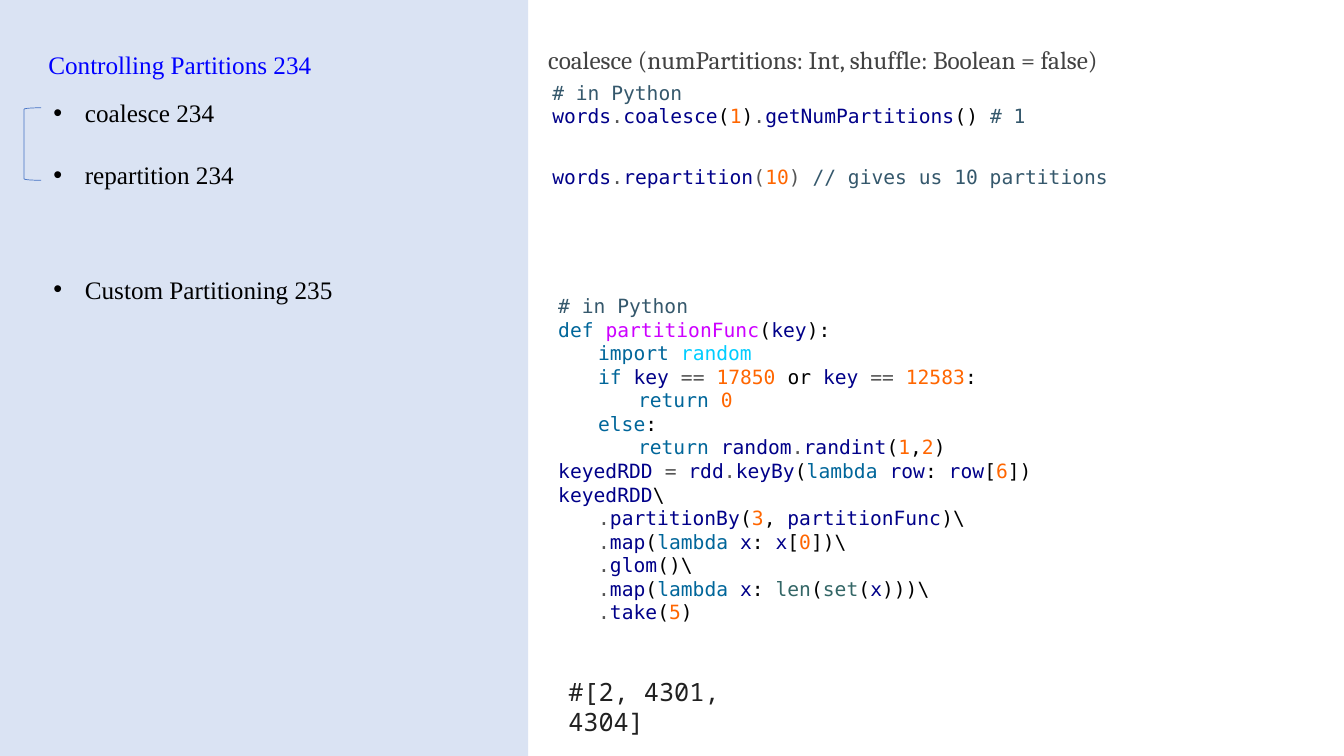
"""Builds a slide on controlling partitions, with topics on the left and code on the right."""
from lxml import etree
from pptx import Presentation
from pptx.dml.color import RGBColor
from pptx.enum.shapes import MSO_SHAPE
from pptx.enum.text import MSO_AUTO_SIZE
from pptx.oxml.ns import qn
from pptx.util import Pt

RECTANGLE = MSO_SHAPE.RECTANGLE
LEFT_BRACKET = MSO_SHAPE.LEFT_BRACKET
GROW = MSO_AUTO_SIZE.SHAPE_TO_FIT_TEXT

SERIF = "Times New Roman"
CODE = "DejaVu Sans Mono"
BULLET_INDENT = 22.5
TAB_STEP = 28.5
COLORS = {
    "panel": "DAE3F3",
    "bracket": "4472C4",
    "heading": "0000FF",
    "signature": "424242",
    "output": "212121",
    "plain": "000000",
    "comment": "35586C",
    "name": "000089",
    "operator": "555555",
    "number": "FF6600",
    "keyword": "00669A",
    "function": "CD00FF",
    "module": "00CDFF",
    "builtin": "336666",
}


def color(name):
    return RGBColor.from_string(COLORS[name])


def add_text(left, top, width, height, lines, size, font):
    """Add a text box whose lines are lists of (color name, text) runs."""
    box = slide.shapes.add_textbox(Pt(left), Pt(top), Pt(width), Pt(height))
    frame = box.text_frame
    frame.word_wrap = True
    frame.auto_size = GROW
    for index, line in enumerate(lines):
        paragraph = frame.paragraphs[0] if index == 0 else frame.add_paragraph()
        for color_name, text in line:
            run = paragraph.add_run()
            run.text = text
            run.font.size = Pt(size)
            run.font.name = font
            run.font.color.rgb = color(color_name)
    return frame


presentation = Presentation()
presentation.slide_width = Pt(960)
presentation.slide_height = Pt(540)
slide = presentation.slides.add_slide(presentation.slide_layouts[6])

panel = slide.shapes.add_shape(RECTANGLE, 0, 0, Pt(377.3), Pt(540))
panel.shadow.inherit = False
panel.fill.solid()
panel.fill.fore_color.rgb = color("panel")
panel.line.fill.background()

add_text(27.4, 31.7, 480, 28.8, [[("heading", "Controlling Partitions 234")]], 18, SERIF)

coalesce_code = [
    [("comment", "# in Python")],
    [("name", "words"), ("operator", "."), ("name", "coalesce"), ("plain", "("),
     ("number", "1"), ("plain", ")"), ("operator", "."), ("name", "getNumPartitions"),
     ("plain", "() "), ("comment", "# 1")],
]
add_text(387.4, 54, 480, 41, coalesce_code, 14, CODE)

repartition_code = [
    [("name", "words"), ("operator", "."), ("name", "repartition"), ("operator", "("),
     ("number", "10"), ("operator", ") "), ("comment", "// gives us 10 partitions")],
]
add_text(387.4, 114.5, 480, 24.5, repartition_code, 14, CODE)

partitioning_code = [
    [("comment", "# in Python")],
    [("keyword", "def "), ("function", "partitionFunc"), ("plain", "("), ("name", "key"),
     ("plain", "):")],
    [("keyword", "\timport "), ("module", "random")],
    [("keyword", "\tif "), ("name", "key "), ("operator", "== "), ("number", "17850 "),
     ("plain", "or "), ("name", "key "), ("operator", "== "), ("number", "12583"),
     ("plain", ":")],
    [("keyword", "\t\treturn "), ("number", "0")],
    [("keyword", "\telse"), ("plain", ":")],
    [("keyword", "\t\treturn "), ("name", "random"), ("operator", "."), ("name", "randint"),
     ("plain", "("), ("number", "1"), ("plain", ","), ("number", "2"), ("plain", ")")],
    [("name", "keyedRDD "), ("operator", "= "), ("name", "rdd"), ("operator", "."),
     ("name", "keyBy"), ("plain", "("), ("keyword", "lambda "), ("name", "row"),
     ("plain", ": "), ("name", "row"), ("plain", "["), ("number", "6"), ("plain", "])")],
    [("name", "keyedRDD"), ("plain", "\\")],
    [("operator", "\t."), ("name", "partitionBy"), ("plain", "("), ("number", "3"),
     ("plain", ", "), ("name", "partitionFunc"), ("plain", ")\\")],
    [("operator", "\t."), ("name", "map"), ("plain", "("), ("keyword", "lambda "),
     ("name", "x"), ("plain", ": "), ("name", "x"), ("plain", "["), ("number", "0"),
     ("plain", "])\\")],
    [("operator", "\t."), ("name", "glom"), ("plain", "()\\")],
    [("operator", "\t."), ("name", "map"), ("plain", "("), ("keyword", "lambda "),
     ("name", "x"), ("plain", ": "), ("builtin", "len"), ("plain", "("),
     ("builtin", "set"), ("plain", "("), ("name", "x"), ("plain", ")))\\")],
    [("operator", "\t."), ("name", "take"), ("plain", "("), ("number", "5"), ("plain", ")")],
]
partitioning = add_text(391.7, 206.6, 499, 244.8, partitioning_code, 14, CODE)
for paragraph in partitioning.paragraphs:
    tabs = etree.SubElement(paragraph._p.get_or_add_pPr(), qn("a:tabLst"))
    for level in (1, 2):
        etree.SubElement(tabs, qn("a:tab"), pos=str(Pt(TAB_STEP * level)), algn="l")

topics = [("coalesce 234", 66.2), ("repartition 234", 110.2), ("Custom Partitioning 235", 192.2)]
for topic, top in topics:
    frame = add_text(31, top, 346.3, 28.8, [[("plain", topic)]], 18, SERIF)
    properties = frame.paragraphs[0]._p.get_or_add_pPr()
    properties.set("marL", str(Pt(BULLET_INDENT)))
    properties.set("indent", str(-Pt(BULLET_INDENT)))
    etree.SubElement(properties, qn("a:buFont"), typeface="Arial")
    etree.SubElement(properties, qn("a:buChar"), char="•")

signature = "coalesce (numPartitions: Int, shuffle: Boolean = false)"
add_text(384.5, 28.1, 502.6, 28.8, [[("signature", signature)]], 18, "Cambria")

bracket = slide.shapes.add_shape(LEFT_BRACKET, Pt(17.2), Pt(77), Pt(12.2), Pt(51.8))
bracket.shadow.inherit = False
bracket.fill.background()
bracket.line.color.rgb = color("bracket")
bracket.line.width = Pt(0.5)

add_text(398.9, 479.5, 162, 28.8, [[("output", "#[2, 4301, 4304]")]], 18, "Noto Sans Mono")

presentation.save("out.pptx")
